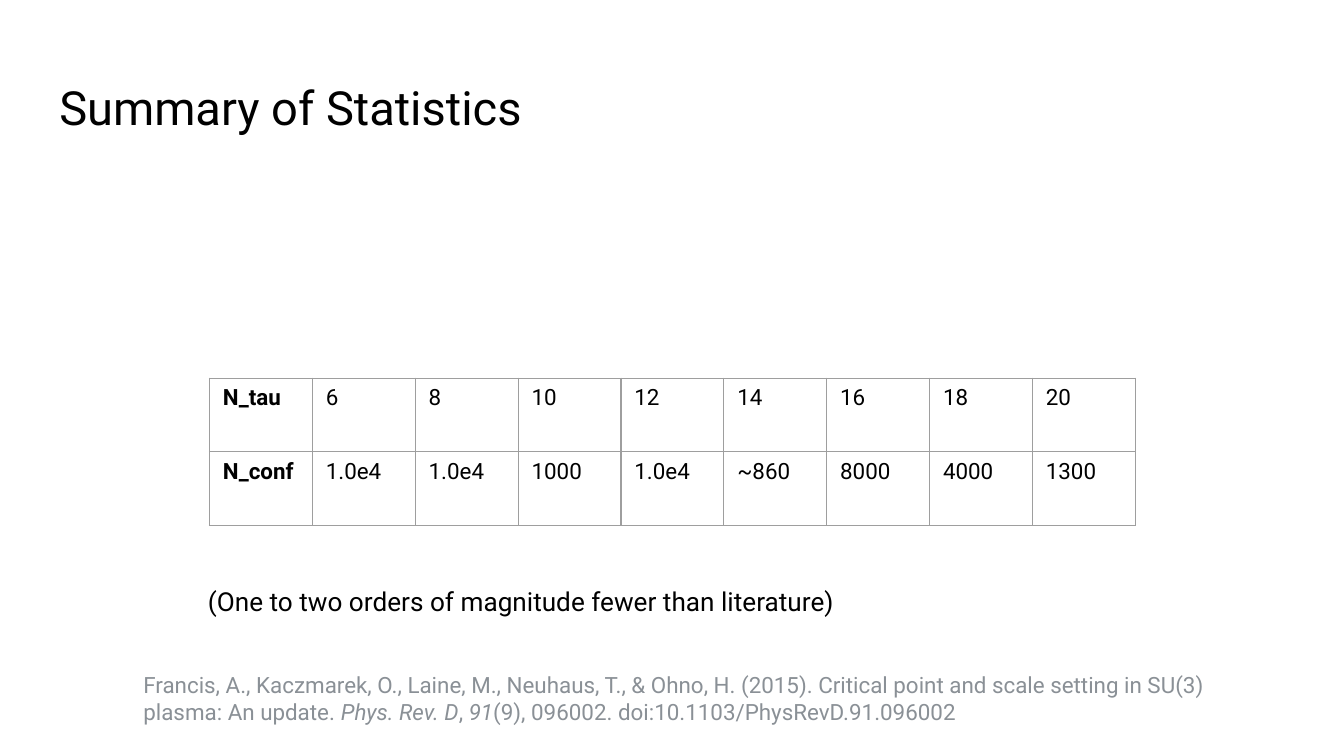
from dataclasses import dataclass

from lxml import etree
from pptx import Presentation
from pptx.dml.color import RGBColor
from pptx.enum import text
from pptx.oxml import ns
from pptx.util import Cm, Pt


@dataclass(frozen=True)
class Theme:
    font: str = "Roboto"
    ink: str = "000000"
    muted: str = "8A9096"
    grid: str = "9E9E9E"
    title_size: float = 25.2
    note_size: float = 14
    small_size: float = 12
    grid_width: float = 0.75


theme = Theme()


def style(paragraph, size, color, bold=False):
    paragraph.alignment = text.PP_ALIGN.LEFT
    paragraph.font.name = theme.font
    paragraph.font.size = Pt(size)
    paragraph.font.bold = bold
    paragraph.font.color.rgb = RGBColor.from_string(color)


def draw_borders(cell):
    properties = cell._tc.get_or_add_tcPr()
    for position, side in enumerate(("lnL", "lnR", "lnT", "lnB")):
        line = etree.Element(ns.qn(f"a:{side}"), w=str(Pt(theme.grid_width)))
        fill = etree.SubElement(line, ns.qn("a:solidFill"))
        etree.SubElement(fill, ns.qn("a:srgbClr"), val=theme.grid)
        properties.insert(position, line)


deck = Presentation()
deck.slide_width, deck.slide_height = Cm(25.4), Cm(14.29)
slide = deck.slides.add_slide(deck.slide_layouts.get_by_name("Title Only"))

# Title
title = slide.shapes.title
title.left, title.top, title.width, title.height = Cm(0.87), Cm(1.24), Cm(23.67), Cm(1.6)
heading = title.text_frame
heading.text = "Summary of Statistics"
heading.auto_size = text.MSO_AUTO_SIZE.NONE
heading.vertical_anchor = text.MSO_ANCHOR.TOP
heading.margin_left = heading.margin_right = Cm(0.25)
heading.margin_top = heading.margin_bottom = Cm(0.25)
style(heading.paragraphs[0], theme.title_size, theme.ink)

# Configurations for each temporal extent
statistics = [
    ("N_tau", "6", "8", "10", "12", "14", "16", "18", "20"),
    ("N_conf", "1.0e4", "1.0e4", "1000", "1.0e4", "~860", "8000", "4000", "1300"),
]
row_count, column_count = len(statistics), len(statistics[0])
table = slide.shapes.add_table(
    row_count, column_count, Cm(3.96), Cm(7.15), Cm(17.5), Cm(2.78)
).table
table.first_row = table.horz_banding = False
for r, values in enumerate(statistics):
    for c, value in enumerate(values):
        cell = table.cell(r, c)
        cell.text = value
        cell.fill.background()
        draw_borders(cell)
        style(cell.text_frame.paragraphs[0], theme.small_size, theme.ink, bold=c == 0)

# Comparison note and citation, as (words, italic) runs
captions = [
    ((3.68, 10.95, 12.37, 0.86), theme.note_size, theme.ink, [
        ("(One to two orders of magnitude fewer than literature)", False),
    ]),
    ((2.46, 12.57, 21.51, 1.27), theme.small_size, theme.muted, [
        ("Francis, A., Kaczmarek, O., Laine, M., Neuhaus, T., & Ohno, H. (2015). "
         "Critical point and scale setting in SU(3) plasma: An update. ", False),
        ("Phys. Rev. D", True),
        (", ", False),
        ("91", True),
        ("(9), 096002. doi:10.1103/PhysRevD.91.096002", False),
    ]),
]
for place, size, color, runs in captions:
    frame = slide.shapes.add_textbox(*map(Cm, place)).text_frame
    frame.word_wrap = True
    caption = frame.paragraphs[0]
    style(caption, size, color)
    for words, italic in runs:
        run = caption.add_run()
        run.text = words
        run.font.italic = italic

deck.save("out.pptx")
